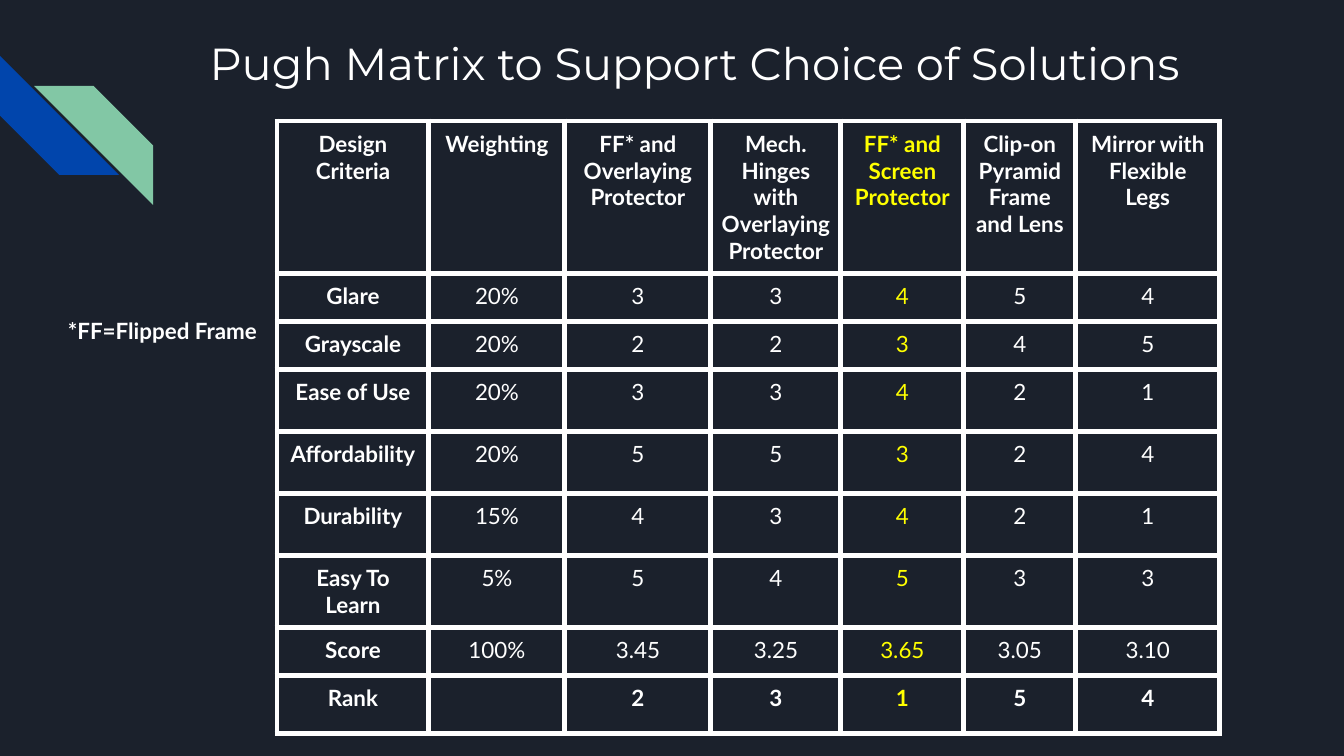
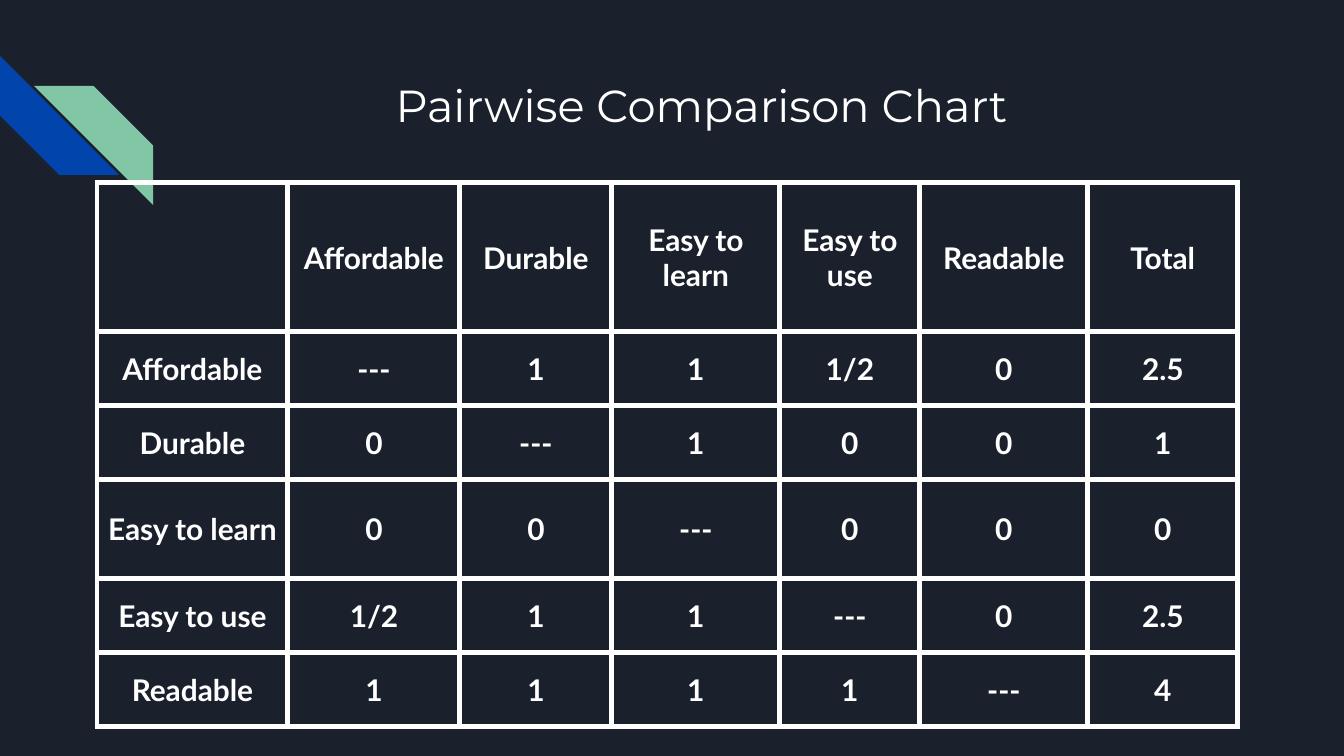
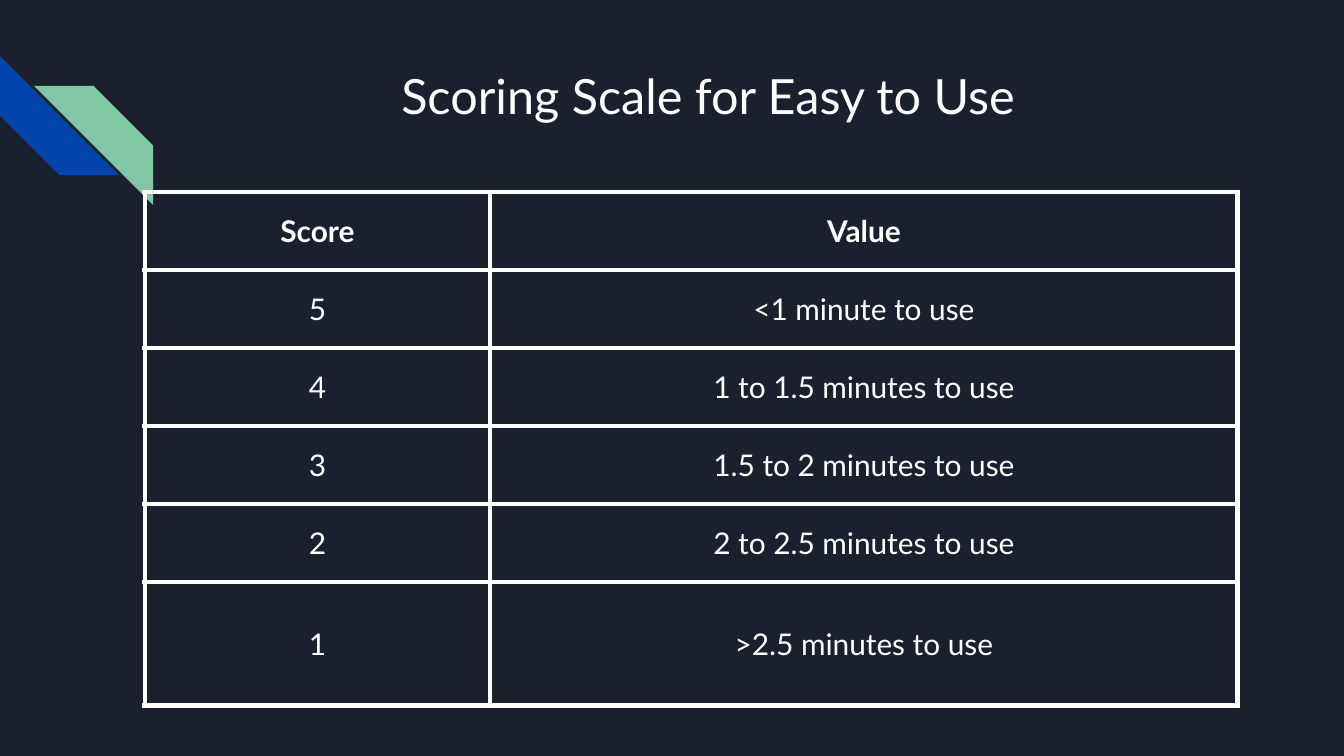
from lxml.etree import SubElement
from pptx import Presentation
from pptx.dml.color import RGBColor
from pptx.enum.shapes import MSO_SHAPE
from pptx.enum.text import MSO_ANCHOR, PP_ALIGN
from pptx.oxml.ns import qn
from pptx.util import Emu, Pt

EMU_PER_PX = 914400 / 134.4
NAVY = RGBColor(0x1B, 0x21, 0x2C)
BLUE = RGBColor(0x01, 0x45, 0xAC)
GREEN = RGBColor(0x82, 0xC7, 0xA5)
WHITE = RGBColor(0xFF, 0xFF, 0xFF)
YELLOW = RGBColor(0xFF, 0xFF, 0x00)
BODY_FONT = "Lato"
TITLE_FONT = "Montserrat"
STRIPE_SIZE = 119
TEXT_INSET = 13
CELL_INSET = 9
BORDER_WIDTH = Pt(3)

PUGH_ROWS = [
    ["Design Criteria", "Weighting", "FF* and Overlaying Protector",
     "Mech. Hinges with Overlaying Protector", "FF* and Screen Protector",
     "Clip-on Pyramid Frame and Lens", "Mirror with Flexible Legs"],
    ["Glare", "20%", "3", "3", "4", "5", "4"],
    ["Grayscale", "20%", "2", "2", "3", "4", "5"],
    ["Ease of Use", "20%", "3", "3", "4", "2", "1"],
    ["Affordability", "20%", "5", "5", "3", "2", "4"],
    ["Durability", "15%", "4", "3", "4", "2", "1"],
    ["Easy To Learn", "5%", "5", "4", "5", "3", "3"],
    ["Score", "100%", "3.45", "3.25", "3.65", "3.05", "3.10"],
    ["Rank", "", "2", "3", "1", "5", "4"],
]
PUGH_CHOSEN_COLUMN = 4

PAIRWISE_ROWS = [
    ["", "Affordable", "Durable", "Easy to learn", "Easy to use", "Readable", "Total"],
    ["Affordable", "---", "1", "1", "1/2", "0", "2.5"],
    ["Durable", "0", "---", "1", "0", "0", "1"],
    ["Easy to learn", "0", "0", "---", "0", "0", "0"],
    ["Easy to use", "1/2", "1", "1", "---", "0", "2.5"],
    ["Readable", "1", "1", "1", "1", "---", "4"],
]

SCALE_ROWS = [
    ["Score", "Value"],
    ["5", "<1 minute to use"],
    ["4", "1 to 1.5 minutes to use"],
    ["3", "1.5 to 2 minutes to use"],
    ["2", "2 to 2.5 minutes to use"],
    ["1", ">2.5 minutes to use"],
]


def px(length):
    return Emu(round(length * EMU_PER_PX))


def set_insets(target, inset):
    target.margin_left = target.margin_right = px(inset)
    target.margin_top = target.margin_bottom = px(inset)


def write_text(text_frame, text, size, font=BODY_FONT, color=WHITE, bold=False,
               alignment=PP_ALIGN.CENTER):
    text_frame.text = text
    paragraph = text_frame.paragraphs[0]
    paragraph.alignment = alignment
    for run in paragraph.runs:
        run.font.name = font
        run.font.size = Pt(size)
        run.font.bold = bold
        run.font.color.rgb = color


def add_text(slide, box, text, size, anchor=MSO_ANCHOR.TOP, **style):
    text_frame = slide.shapes.add_textbox(*map(px, box)).text_frame
    text_frame.word_wrap = True
    text_frame.vertical_anchor = anchor
    set_insets(text_frame, TEXT_INSET)
    write_text(text_frame, text, size, **style)


def add_stripe(slide, left, top, rotation, color):
    stripe = slide.shapes.add_shape(
        MSO_SHAPE.DIAGONAL_STRIPE, px(left), px(top), px(STRIPE_SIZE), px(STRIPE_SIZE))
    stripe.adjustments[0] = 0.5
    stripe.rotation = rotation
    stripe.shadow.inherit = False
    stripe.fill.solid()
    stripe.fill.fore_color.rgb = color
    stripe.line.fill.background()


def add_striped_slide(presentation):
    slide = presentation.slides.add_slide(presentation.slide_layouts[6])
    add_stripe(slide, 0, 56, 270, BLUE)
    add_stripe(slide, 34, 86, 90, GREEN)
    return slide


def add_borders(cell):
    properties = cell._tc.get_or_add_tcPr()
    for side in ("a:lnL", "a:lnR", "a:lnT", "a:lnB"):
        line = SubElement(properties, qn(side), w=str(BORDER_WIDTH))
        fill = SubElement(line, qn("a:solidFill"))
        SubElement(fill, qn("a:srgbClr"), val=str(WHITE))


def add_grid(slide, left, top, widths, heights, rows, size, is_bold,
             anchor=MSO_ANCHOR.MIDDLE, chosen_column=None):
    table = slide.shapes.add_table(
        len(heights), len(widths), px(left), px(top),
        px(sum(widths)), px(sum(heights))).table
    table.first_row = table.horz_banding = False
    for column, width in zip(table.columns, widths):
        column.width = px(width)
    for row, height in zip(table.rows, heights):
        row.height = px(height)
    for row_index, texts in enumerate(rows):
        for column_index, text in enumerate(texts):
            cell = table.cell(row_index, column_index)
            set_insets(cell, CELL_INSET)
            cell.vertical_anchor = anchor
            add_borders(cell)
            cell.fill.background()
            color = YELLOW if column_index == chosen_column else WHITE
            write_text(cell.text_frame, text, size, color=color,
                       bold=is_bold(row_index, column_index))


def build_pugh_matrix(presentation):
    slide = add_striped_slide(presentation)
    add_text(slide, (191, 23, 1007, 71), "Pugh Matrix to Support Choice of Solutions",
             24, font=TITLE_FONT)
    add_text(slide, (55, 304, 294, 46), "*FF=Flipped Frame", 12, bold=True,
             alignment=PP_ALIGN.LEFT)
    last_row = len(PUGH_ROWS) - 1
    add_grid(slide, 277, 121, [152, 136, 146, 130, 123, 112, 144],
             [152, 48, 48, 62, 62, 62, 72, 48, 57], PUGH_ROWS, 12,
             lambda row, column: row in (0, last_row) or column == 0,
             anchor=MSO_ANCHOR.TOP, chosen_column=PUGH_CHOSEN_COLUMN)


def build_pairwise_chart(presentation):
    slide = add_striped_slide(presentation)
    add_text(slide, (184, 38, 1035, 134), "Pairwise Comparison Chart", 24,
             anchor=MSO_ANCHOR.MIDDLE, font=TITLE_FONT)
    add_grid(slide, 97, 183, [191, 172, 152, 168, 140, 168, 150],
             [149, 74, 74, 99, 74, 74], PAIRWISE_ROWS, 16,
             lambda row, column: True)


def build_scoring_scale(presentation):
    slide = add_striped_slide(presentation)
    add_text(slide, (191, 28, 1035, 134), "Scoring Scale for Easy to Use", 26,
             anchor=MSO_ANCHOR.MIDDLE)
    add_grid(slide, 145, 192, [345, 748], [78] * 5 + [124], SCALE_ROWS, 16,
             lambda row, column: row == 0)


def main():
    presentation = Presentation()
    presentation.slide_width = px(1344)
    presentation.slide_height = px(756)
    background = presentation.slide_master.background.fill
    background.solid()
    background.fore_color.rgb = NAVY
    build_pugh_matrix(presentation)
    build_pairwise_chart(presentation)
    build_scoring_scale(presentation)
    presentation.save("out.pptx")


if __name__ == "__main__":
    main()
